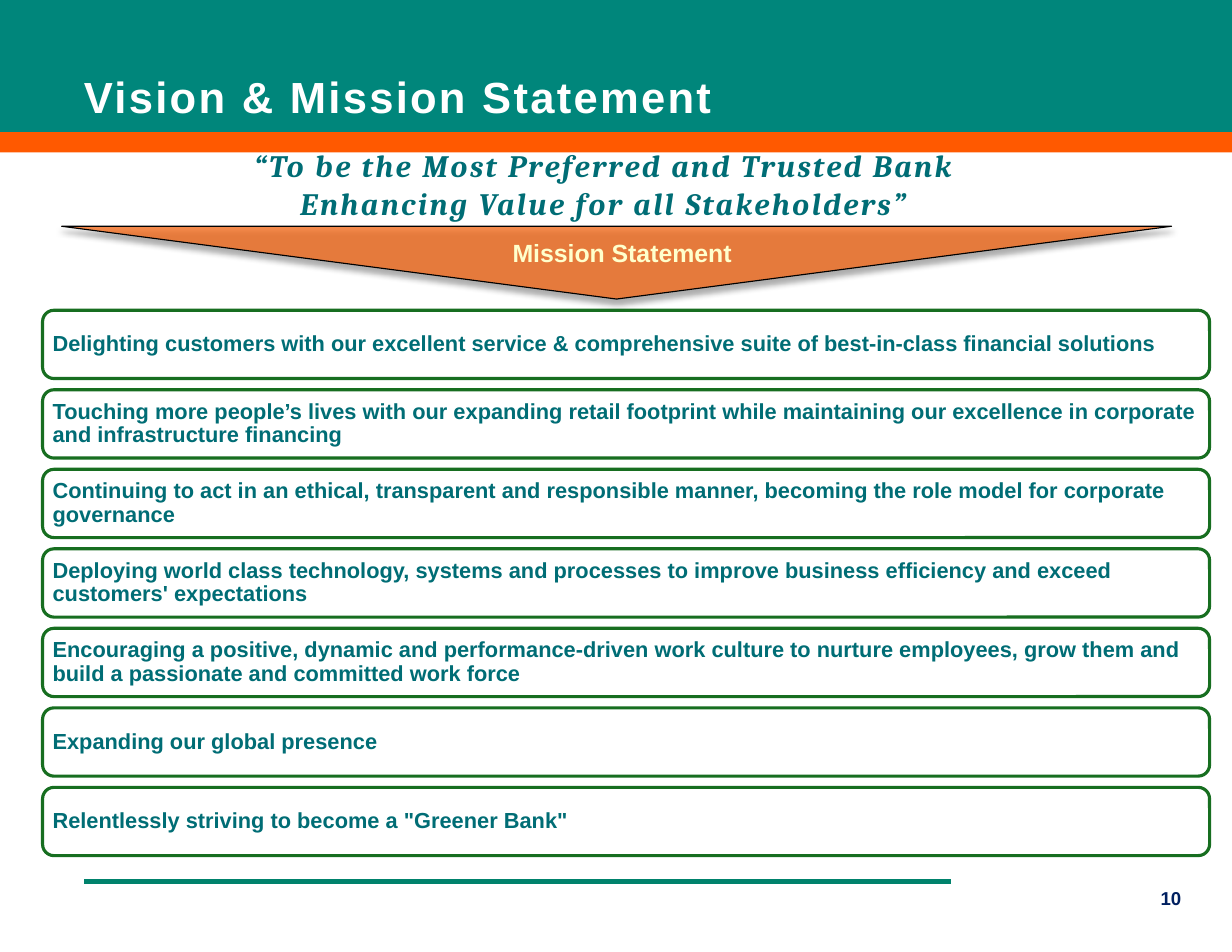
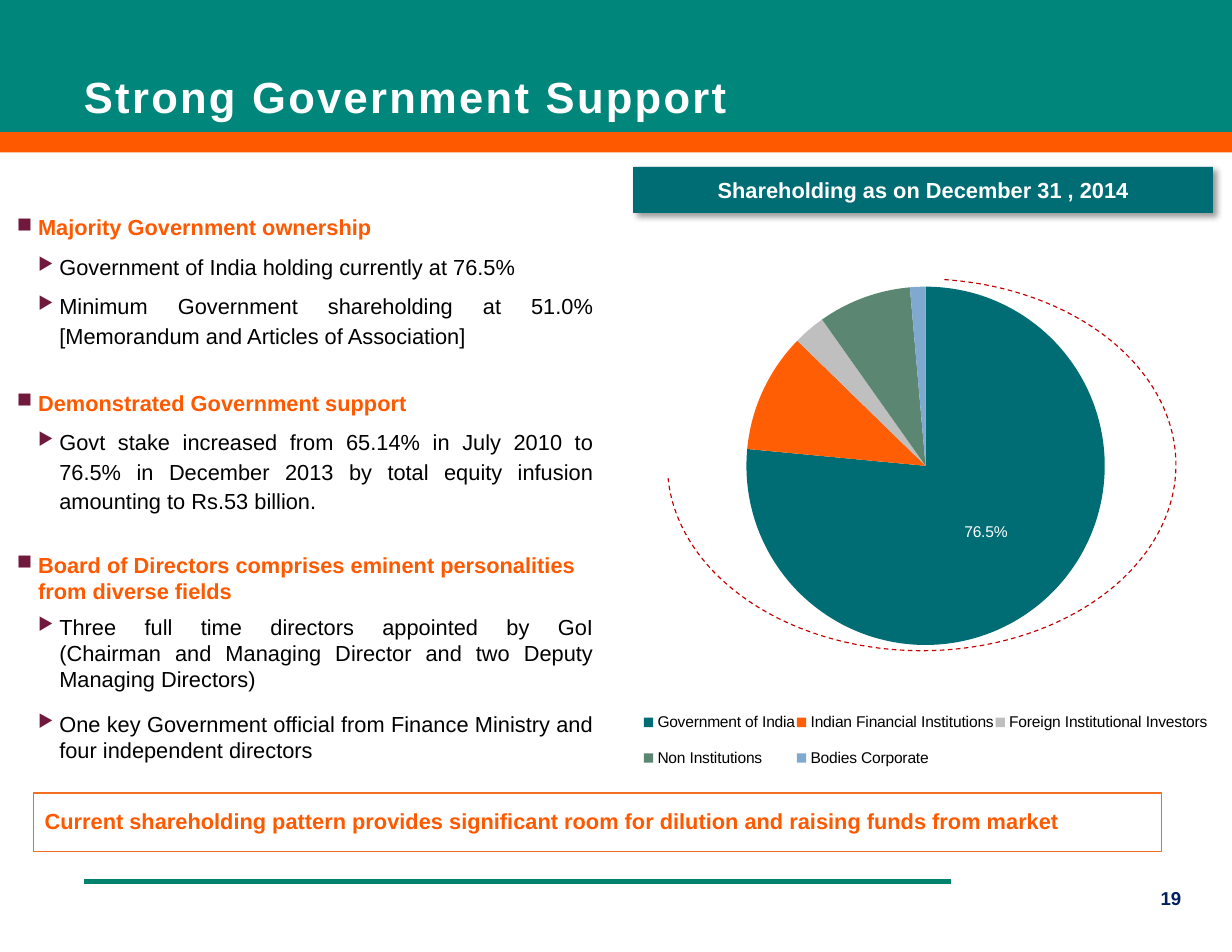
"""Build two bank profile slides: vision and mission, and government support."""
from lxml import etree
from pptx import Presentation
from pptx.chart.data import CategoryChartData
from pptx.dml.color import RGBColor
from pptx.enum.chart import XL_CHART_TYPE, XL_LABEL_POSITION, XL_LEGEND_POSITION
from pptx.enum.dml import MSO_LINE
from pptx.enum.shapes import MSO_CONNECTOR, MSO_SHAPE
from pptx.enum.text import MSO_ANCHOR, PP_ALIGN
from pptx.oxml import parse_xml
from pptx.oxml.ns import nsdecls, qn
from pptx.util import Inches, Pt

BAND_GREEN = RGBColor(0x00, 0x86, 0x7B)
ORANGE = RGBColor(0xFF, 0x59, 0x00)
RULE_GREEN = RGBColor(0x00, 0x82, 0x6C)
TEAL = RGBColor(0x00, 0x6D, 0x75)
BOX_GREEN = RGBColor(0x17, 0x6E, 0x20)
ARROW_ORANGE = RGBColor(0xF3, 0x6E, 0x20)
CREAM = RGBColor(0xFF, 0xFF, 0xCC)
NAVY = RGBColor(0x00, 0x20, 0x60)
PLUM = RGBColor(0x70, 0x19, 0x3D)
RED = RGBColor(0xC0, 0x00, 0x00)
BLACK = RGBColor(0x00, 0x00, 0x00)
WHITE = RGBColor(0xFF, 0xFF, 0xFF)
SLICE_COLORS = [TEAL, RGBColor(0xFF, 0x5E, 0x05), RGBColor(0xBF, 0xBF, 0xBF),
                RGBColor(0x5B, 0x87, 0x72), RGBColor(0x7F, 0xA9, 0xCF)]
LEFT, CENTER, JUSTIFY = PP_ALIGN.LEFT, PP_ALIGN.CENTER, PP_ALIGN.JUSTIFY
TOP, MIDDLE, BOTTOM = MSO_ANCHOR.TOP, MSO_ANCHOR.MIDDLE, MSO_ANCHOR.BOTTOM


def add_box(slide, place, preset=MSO_SHAPE.RECTANGLE, fill=None, line=None, width=0.75):
    shape = slide.shapes.add_shape(preset, *map(Inches, place))
    shape.shadow.inherit = False
    if fill is None:
        shape.fill.background()
    else:
        shape.fill.solid()
        shape.fill.fore_color.rgb = fill
    if line is None:
        shape.line.fill.background()
    else:
        shape.line.color.rgb = line
        shape.line.width = Pt(width)
    return shape


def write(shape, lines, size, color, align=LEFT, anchor=TOP, insets=(0.1, 0.05),
          spacing=1.0, name="Arial", italic=False, tracking=0):
    frame = shape.text_frame
    frame.word_wrap = True
    frame.vertical_anchor = anchor
    frame.margin_left = frame.margin_right = Inches(insets[0])
    frame.margin_top = frame.margin_bottom = Inches(insets[1])
    for index, line in enumerate(lines):
        paragraph = frame.add_paragraph() if index else frame.paragraphs[0]
        paragraph.text = line
        paragraph.alignment = align
        paragraph.line_spacing = spacing
        font = paragraph.font
        font.name, font.size, font.bold, font.italic = name, Pt(size), True, italic
        font.color.rgb = color
        if tracking:
            font._element.set("spc", str(tracking))


presentation = Presentation()
presentation.slide_width, presentation.slide_height = Inches(11), Inches(8.5)
slides = []
for title, number in [("Vision & Mission Statement", "10"), ("Strong Government Support", "19")]:
    slide = presentation.slides.add_slide(presentation.slide_layouts[6])
    add_box(slide, (0, 0, 11, 1.18), fill=BAND_GREEN)
    add_box(slide, (0, 1.18, 11, 0.18), fill=ORANGE)
    rule = slide.shapes.add_connector(
        MSO_CONNECTOR.STRAIGHT, Inches(0.75), Inches(7.87), Inches(8.49), Inches(7.87))
    rule.line.color.rgb = RULE_GREEN
    rule.line.width = Pt(3)
    etree.SubElement(rule._element.spPr, qn("a:effectLst"))
    title_box = slide.shapes.add_textbox(Inches(0.75), Inches(0.57), Inches(9.5), Inches(0.58))
    write(title_box, [title], 28, WHITE, anchor=BOTTOM, insets=(0, 0.06), spacing=0.8, tracking=150)
    number_box = slide.shapes.add_textbox(Inches(10.22), Inches(7.92), Inches(0.47), Inches(0.28))
    write(number_box, [number], 12, NAVY, CENTER, insets=(0, 0))
    slides.append(slide)
mission_slide, support_slide = slides

vision = mission_slide.shapes.add_textbox(Inches(0.34), Inches(1.26), Inches(10.09), Inches(0.77))
write(vision, ["“To be the Most Preferred and Trusted Bank", "Enhancing Value for all Stakeholders”"],
      20, TEAL, CENTER, name="Cambria", italic=True, tracking=150)

missions = [
    "Delighting customers with our excellent service & comprehensive suite of best-in-class "
    "financial solutions",
    "Touching more people’s lives with our expanding retail footprint while maintaining our "
    "excellence in corporate and infrastructure financing",
    "Continuing to act in an ethical, transparent and responsible manner, becoming the role model "
    "for corporate governance",
    "Deploying world class technology, systems and processes to improve business efficiency and "
    "exceed customers' expectations",
    "Encouraging a positive, dynamic and performance-driven work culture to nurture employees, "
    "grow them and build a passionate and committed work force",
    "Expanding our global presence",
    'Relentlessly striving to become a "Greener Bank"',
]
for row, mission in enumerate(missions):
    mission_box = add_box(mission_slide, (0.38, 2.77 + 0.71 * row, 10.42, 0.61),
                          MSO_SHAPE.ROUNDED_RECTANGLE, line=BOX_GREEN, width=2)
    write(mission_box, [mission], 14, TEAL, anchor=MIDDLE, insets=(0.06, 0.06), spacing=0.9)

arrow = add_box(mission_slide, (0.55, 2.02, 9.91, 0.65), MSO_SHAPE.FLOWCHART_MERGE,
                fill=ARROW_ORANGE, line=BLACK)
arrow_color = arrow._element.spPr.find(qn("a:solidFill"))[0]
etree.SubElement(arrow_color, qn("a:alpha"), val="80000")
arrow_label = mission_slide.shapes.add_textbox(Inches(4.1), Inches(2.07), Inches(2.91), Inches(0.37))
write(arrow_label, ["Mission Statement"], 16, CREAM, CENTER)

arc = add_box(support_slide, (5.96, 2.49, 4.54, 3.32), MSO_SHAPE.ARC, line=RED)
arc.line.dash_style = MSO_LINE.DASH
arc.adjustments[0], arc.adjustments[1] = 166.2, 106.2

chart_data = CategoryChartData(number_format="0.0%")
chart_data.categories = ["Government of India", "Indian Financial Institutions",
                         "Foreign Institutional Investors", "Non Institutions", "Bodies Corporate"]
chart_data.add_series("Series 1", [0.765, 0.108, 0.029, 0.084, 0.014])
chart = support_slide.shapes.add_chart(
    XL_CHART_TYPE.PIE, Inches(5.68), Inches(2.06), Inches(5.17), Inches(5), chart_data).chart
chart.has_title = False
chart.font.name, chart.font.size, chart.font.color.rgb = "Arial", Pt(10), BLACK
chart.has_legend = True
chart.legend.position = XL_LEGEND_POSITION.BOTTOM
chart.legend.include_in_layout = False
plot = chart.plots[0]
plot.vary_by_categories = True
plot.has_data_labels = True
labels = plot.data_labels
labels.show_value, labels.show_percentage = True, False
labels.number_format, labels.number_format_is_linked = "0.0%", False
labels.position = XL_LABEL_POSITION.OUTSIDE_END
points = plot.series[0].points
for index, color in enumerate(SLICE_COLORS):
    points[index].format.fill.solid()
    points[index].format.fill.fore_color.rgb = color
government_label = points[0].data_label
government_label.position = XL_LABEL_POSITION.CENTER
government_label.font.size, government_label.font.color.rgb = Pt(10), WHITE

plot_area = chart._chartSpace.chart.plotArea
legend = chart.legend._element
for parent, index, target, bounds in [(plot_area, 0, "inner", (0.08, 0.1, 0.84, 0.64)),
                                      (legend, 1, None, (0.01, 0.83, 0.98, 0.16))]:
    for old_layout in parent.findall(qn("c:layout")):
        parent.remove(old_layout)
    layout = parse_xml(f"<c:layout {nsdecls('c')}><c:manualLayout/></c:layout>")
    settings = [("layoutTarget", target)] if target else []
    settings += [("xMode", "edge"), ("yMode", "edge"), *zip("xywh", map(str, bounds))]
    for tag, value in settings:
        etree.SubElement(layout[0], qn(f"c:{tag}"), val=value)
    parent.insert(index, layout)

body = support_slide.shapes.add_textbox(Inches(0.15), Inches(1.53), Inches(5.17), Inches(5.65))
frame = body.text_frame
frame.word_wrap = True
frame.vertical_anchor = MIDDLE
frame.margin_left = frame.margin_top = 0
frame.margin_right = frame.margin_bottom = Inches(0.02)
body_lines = [
    (0, 1.14, 0, 6, "Majority Government ownership"),
    (1, 1.14, 0, 6, "Government of India holding currently at 76.5%"),
    (1, 1.14, 0, 6, "Minimum Government shareholding at 51.0% [Memorandum and Articles of Association]"),
    (0, 1.14, 18, 6, "Demonstrated Government support"),
    (1, 1.14, 0, 6, "Govt stake increased from 65.14% in July 2010 to 76.5% in December 2013 by total "
                    "equity infusion amounting to Rs.53 billion."),
    (0, 1.0, 18, 6, "Board of Directors comprises eminent personalities from diverse fields"),
    (1, 1.0, 0, 12, "Three full time directors appointed by GoI\n(Chairman and Managing Director and "
                    "two Deputy Managing Directors)"),
    (1, 1.0, 0, 12, "One key Government official from Finance Ministry and four independent directors"),
]
for index, (level, spacing, before, after, text) in enumerate(body_lines):
    paragraph = frame.add_paragraph() if index else frame.paragraphs[0]
    paragraph.text = text
    paragraph.level = level
    properties = paragraph._p.get_or_add_pPr()
    properties.set("marL", str(Inches(0.19 * (level + 1))))
    properties.set("indent", str(Inches(-0.19)))
    bullet_color = etree.SubElement(properties, qn("a:buClr"))
    etree.SubElement(bullet_color, qn("a:srgbClr"), val=str(PLUM))
    etree.SubElement(properties, qn("a:buSzPct"), val="80000" if level else "95000")
    etree.SubElement(properties, qn("a:buChar"), char="▶" if level else "■")
    paragraph.alignment = JUSTIFY if level else LEFT
    paragraph.line_spacing = spacing
    paragraph.space_after = Pt(after)
    if before:
        paragraph.space_before = Pt(before)
    font = paragraph.font
    font.name, font.size, font.bold = "Arial", Pt(14), level == 0
    font.color.rgb = BLACK if level else ORANGE

conclusion = add_box(support_slide, (0.3, 7.08, 10.07, 0.52), line=ARROW_ORANGE)
write(conclusion, ["Current shareholding pattern provides significant room for dilution and raising "
                   "funds from market"], 14, ORANGE, anchor=MIDDLE, spacing=0.9)
banner = add_box(support_slide, (5.66, 1.49, 5.17, 0.41), fill=TEAL, line=TEAL, width=0.5)
write(banner, ["Shareholding as on December 31 , 2014"], 14, WHITE, CENTER, MIDDLE, (0, 0.02))

for shape, angle in [(arrow, 90), (banner, 45)]:
    effects = shape._element.spPr.find(qn("a:effectLst"))
    shadow = etree.SubElement(effects, qn("a:outerShdw"), blurRad=str(Pt(4)), dist=str(Pt(3)),
                              dir=str(angle * 60000), rotWithShape="0")
    shadow_color = etree.SubElement(shadow, qn("a:srgbClr"), val=str(BLACK))
    etree.SubElement(shadow_color, qn("a:alpha"), val="40000")

presentation.save("out.pptx")
